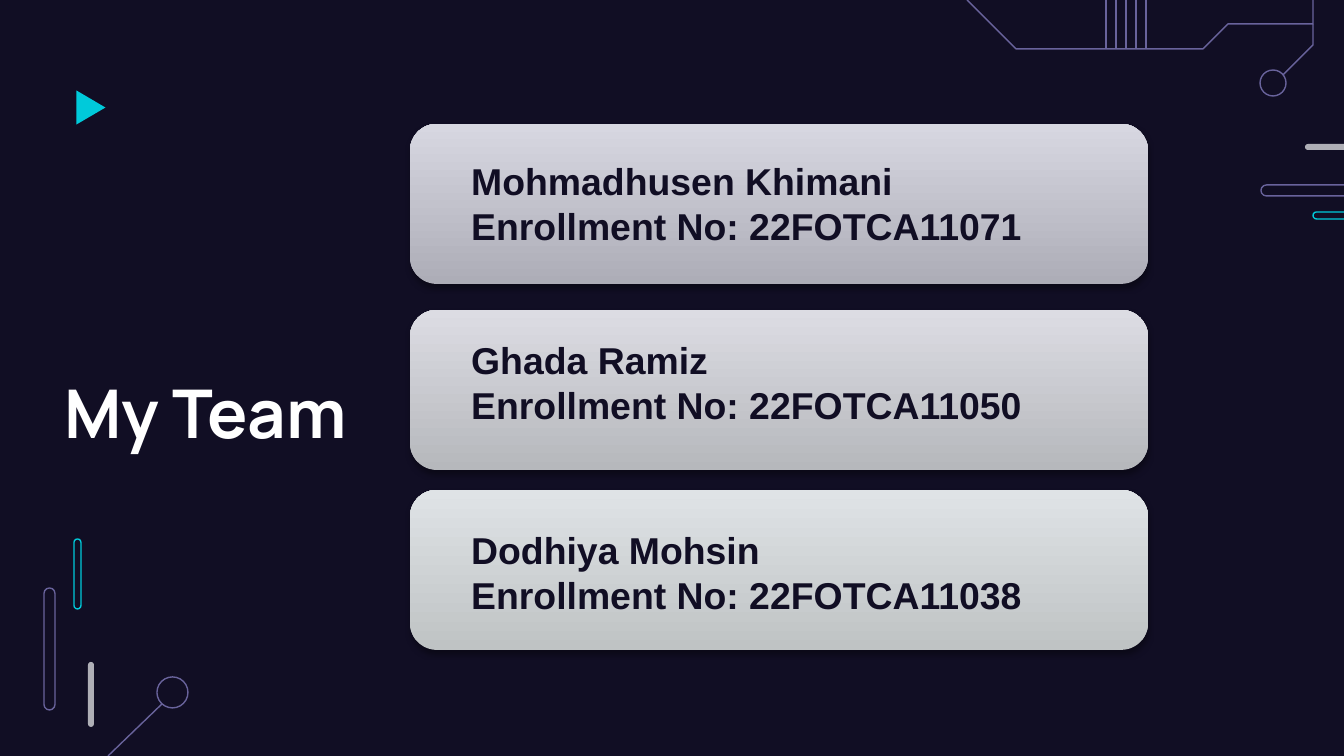
"""Build the "My Team" slide with three member cards on a circuit-style background."""
from lxml import etree
from pptx import Presentation
from pptx.dml.color import RGBColor
from pptx.enum.shapes import MSO_CONNECTOR, MSO_SHAPE
from pptx.enum.text import MSO_ANCHOR, MSO_AUTO_SIZE, PP_ALIGN
from pptx.oxml.ns import qn
from pptx.util import Pt

PX = 914400 / 134.4
ROUND, OVAL, MERGE = MSO_SHAPE.ROUNDED_RECTANGLE, MSO_SHAPE.OVAL, MSO_SHAPE.FLOWCHART_MERGE
STRAIGHT = MSO_CONNECTOR.STRAIGHT
MIDDLE, LEFT, NO_FIT = MSO_ANCHOR.MIDDLE, PP_ALIGN.LEFT, MSO_AUTO_SIZE.NONE
COLORS = {"navy": "110E24", "purple": "69639C", "cyan": "00CADA", "grey": "AFAFB6",
          "white": "FFFFFF", "black": "000000"}


def px(*values):
    return [round(v * PX) for v in values]


def paint(sp, fill=None, line=None):
    sp.shadow.inherit = False
    if fill:
        sp.fill.solid()
        sp.fill.fore_color.rgb = RGBColor.from_string(COLORS[fill])
    else:
        sp.fill.background()
    if line:
        sp.line.color.rgb = RGBColor.from_string(COLORS[line])
        sp.line.width = Pt(0.75)
    else:
        sp.line.fill.background()


prs = Presentation()
prs.slide_width, prs.slide_height = px(1344, 756)
s = prs.slides.add_slide(prs.slide_layouts[5])
s.background.fill.solid()
s.background.fill.fore_color.rgb = RGBColor.from_string(COLORS["navy"])

wires = [(108, 756, 162, 704)] + [(1106 + 10 * i, 0, 1106 + 10 * i, 49) for i in range(5)]
for wire in wires:
    c = s.shapes.add_connector(STRAIGHT, *px(*wire))
    c.line.color.rgb = RGBColor.from_string(COLORS["purple"])
    c.line.width = Pt(0.75)
    etree.SubElement(c._element.spPr, qn("a:effectLst"))

traces = [
    [(967, 0), (1016, 49), (1203, 49), (1228, 24), (1313, 24), (1313, 0)],
    [(1283, 75), (1313, 45), (1313, 24)],
]
for points in traces:
    fb = s.shapes.build_freeform(*points[0], scale=PX)
    fb.add_line_segments(points[1:], close=False)
    paint(fb.convert_to_shape(), line="purple")

for x, y, d in [(157, 677, 31), (1260, 70, 26)]:
    paint(s.shapes.add_shape(OVAL, *px(x, y, d, d)), line="purple")

pills = [
    (74, 539, 7, 70, None, "cyan"),
    (44, 588, 11, 122, None, "purple"),
    (1313, 212, 70, 7, None, "cyan"),
    (1261, 185, 122, 11, None, "purple"),
    (1305, 144, 65, 6, "grey", None),
    (88, 662, 6, 65, "grey", None),
]
for x, y, w, h, fill, line in pills:
    sp = s.shapes.add_shape(ROUND, *px(x, y, w, h))
    sp.adjustments[0] = 0.5
    paint(sp, fill, line)

sp = s.shapes.add_shape(MERGE, *px(74, 93, 34, 29))
sp.rotation = 270
paint(sp, "cyan")

title = s.shapes.title
title.left, title.top, title.width, title.height = px(51, 186, 391, 451)
tf = title.text_frame
tf.auto_size = NO_FIT
tf.word_wrap = True
tf.vertical_anchor = MIDDLE
tf.margin_left, tf.margin_top, tf.margin_right, tf.margin_bottom = px(13, 13, 13, 13)
p = tf.paragraphs[0]
p.alignment = LEFT
r = p.add_run()
r.text = "My Team"
r.font.name, r.font.size, r.font.bold = "Manrope", Pt(36), True
r.font.color.rgb = RGBColor.from_string(COLORS["white"])

members = [
    (124, 152, "ADADB7", "D7D7E1", "Mohmadhusen Khimani", "22FOTCA11071"),
    (310, 331, "B6B8BC", "DCDCE3", "Ghada Ramiz", "22FOTCA11050"),
    (490, 521, "BFC3C4", "DFE3E6", "Dodhiya Mohsin", "22FOTCA11038"),
]
for card_y, text_y, bottom, top, name, number in members:
    sp = s.shapes.add_shape(ROUND, *px(410, card_y, 738, 160))
    sp.adjustments[0] = 0.167
    paint(sp)
    sp.fill.gradient()
    sp.fill.gradient_angle = 90
    for stop, position, color in zip(sp.fill.gradient_stops, (0, 1), (bottom, top)):
        stop.position = position
        stop.color.rgb = RGBColor.from_string(color)
    effects = sp._element.spPr.find(qn("a:effectLst"))
    shadow = etree.SubElement(effects, qn("a:outerShdw"), blurRad=str(Pt(3.1)),
                              dist=str(Pt(1.8)), dir="5400000", rotWithShape="0")
    shade = etree.SubElement(shadow, qn("a:srgbClr"), val=COLORS["black"])
    etree.SubElement(shade, qn("a:alpha"), val="35000")

    tf = s.shapes.add_textbox(*px(458, text_y, 641, 103)).text_frame
    tf.word_wrap = True
    for i, text in enumerate((name, f"Enrollment No: {number}")):
        p = tf.add_paragraph() if i else tf.paragraphs[0]
        r = p.add_run()
        r.text = text
        r.font.name, r.font.size, r.font.bold = "Arial", Pt(20), True
        r.font.color.rgb = RGBColor.from_string(COLORS["navy"])

prs.save("out.pptx")
